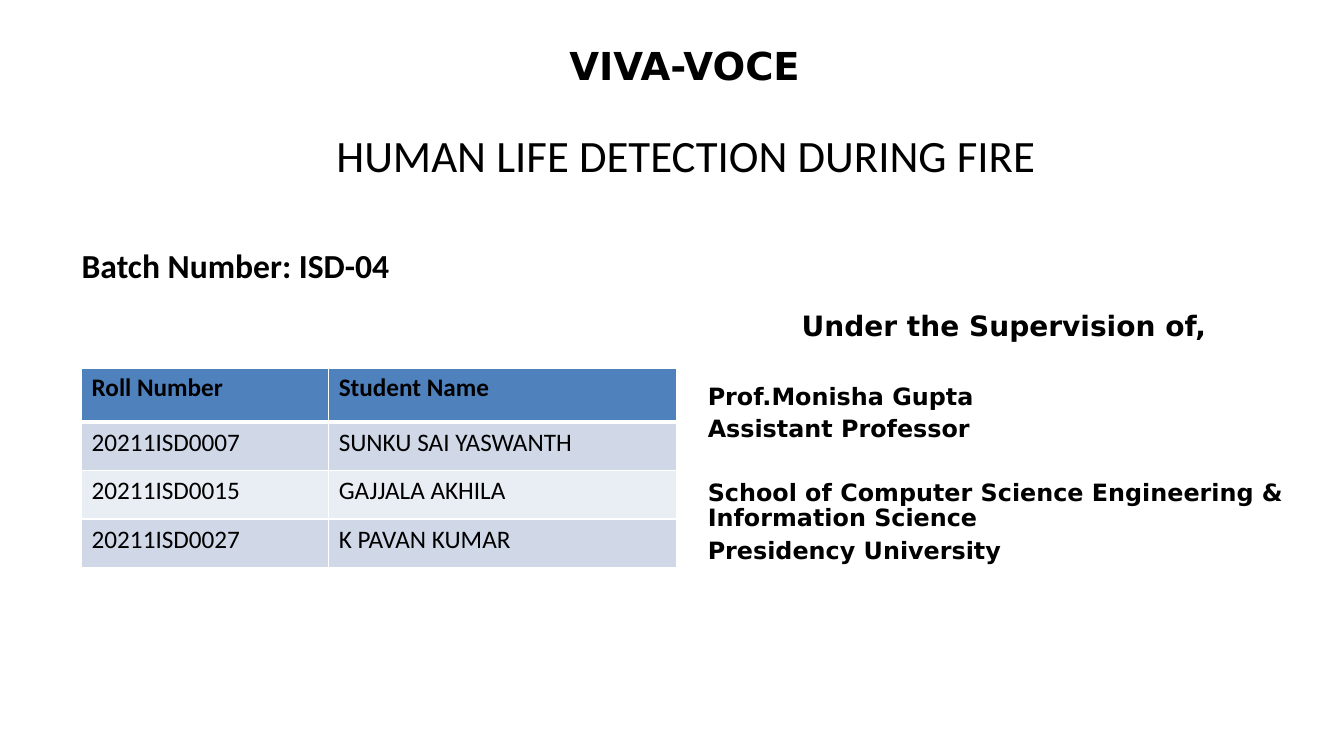
from lxml.etree import SubElement
from pptx import Presentation
from pptx.dml.color import RGBColor
from pptx.enum.text import MSO_ANCHOR as Anchor, MSO_AUTO_SIZE as AutoSize, PP_ALIGN as Align
from pptx.oxml.ns import qn
from pptx.util import Inches, Pt

COLORS = {"text": "000000", "header": "4F81BD", "band": "D0D8E8",
          "light": "E9EDF4", "border": "FFFFFF"}
SANS = "DejaVu Sans"


def write(paragraph, text, size, font="Calibri", bold=False, align=Align.LEFT,
          left=0, before=0, line=None):
    """Fill one paragraph with formatted, unbulleted text."""
    run = paragraph.add_run()
    run.text = text
    run.font.size = Pt(size)
    run.font.name = font
    run.font.bold = bold
    run.font.color.rgb = RGBColor.from_string(COLORS["text"])
    paragraph.alignment = align
    paragraph.space_before = Pt(before)
    if line:
        paragraph.line_spacing = line
    properties = paragraph._p.get_or_add_pPr()
    properties.set("marL", str(Inches(left)))
    properties.set("indent", "0")
    SubElement(properties, qn("a:buNone"))


def place(shape, left, top, width, height, inset_top):
    """Move a placeholder and return its text frame, top aligned."""
    shape.left, shape.top = Inches(left), Inches(top)
    shape.width, shape.height = Inches(width), Inches(height)
    frame = shape.text_frame
    frame.margin_left = frame.margin_right = frame.margin_bottom = 0
    frame.margin_top = Inches(inset_top)
    frame.vertical_anchor = Anchor.TOP
    frame.word_wrap = True
    frame.auto_size = AutoSize.NONE
    return frame


presentation = Presentation()
presentation.slide_width = Inches(13.33)
presentation.slide_height = Inches(7.5)
slide = presentation.slides.add_slide(presentation.slide_layouts[1])

# Title
title = place(slide.shapes.title, 1, 0.3, 9.78, 0.52, 0.01)
write(title.paragraphs[0], "VIVA-VOCE", 27.5, font=SANS, bold=True,
      align=Align.CENTER, left=1.8, before=0.9, line=1.23)

# Topic, batch and supervisor
supervisor = {"size": 17, "font": SANS, "bold": True, "left": 6.21}
body_lines = [
    ("HUMAN LIFE DETECTION DURING FIRE",
     {"size": 32, "align": Align.CENTER, "before": 7.7}),
    ("Batch Number: ISD-04", {"size": 24, "bold": True, "before": 45}),
    ("Under the Supervision of,",
     {"size": 20, "font": SANS, "bold": True, "left": 7.14, "before": 16.5}),
    ("Prof.Monisha Gupta", {**supervisor, "before": 28.6}),
    ("Assistant Professor", {**supervisor, "before": 4.1, "line": Pt(18.8)}),
    ("School of Computer Science Engineering & Information Science",
     {**supervisor, "before": 27.2, "line": Pt(18)}),
    ("Presidency University", {**supervisor, "before": 3}),
]
body = place(slide.placeholders[1], 0.81, 1.25, 11.99, 4.39, 0.02)
for index, (text, style) in enumerate(body_lines):
    paragraph = body.add_paragraph() if index else body.paragraphs[0]
    write(paragraph, text, **style)

# Student table
students = [
    ("Roll Number", "Student Name"),
    ("20211ISD0007", "SUNKU SAI YASWANTH"),
    ("20211ISD0015", "GAJJALA AKHILA"),
    ("20211ISD0027", "K PAVAN KUMAR"),
]
row_fills = ["header", "band", "light", "band"]
table = slide.shapes.add_table(len(students), 2, Inches(0.81), Inches(3.65),
                               Inches(5.9), Inches(1.98)).table
for column, width in zip(table.columns, (2.45, 3.45)):
    column.width = Inches(width)
for row_index, names in enumerate(students):
    table.rows[row_index].height = Inches(0.48 if row_index else 0.54)
    for column_index, text in enumerate(names):
        cell = table.cell(row_index, column_index)
        write(cell.text_frame.paragraphs[0], text, 18, bold=row_index == 0)

        # White borders, thicker between the header and the first student
        cell_properties = cell._tc.get_or_add_tcPr()
        for side in "LRTB":
            thick = (row_index, side) in ((0, "B"), (1, "T"))
            border = SubElement(cell_properties, qn(f"a:ln{side}"),
                                w=str(Pt(3 if thick else 1)))
            fill = SubElement(border, qn("a:solidFill"))
            SubElement(fill, qn("a:srgbClr"), val=COLORS["border"])
        cell.fill.solid()
        cell.fill.fore_color.rgb = RGBColor.from_string(COLORS[row_fills[row_index]])

presentation.save("out.pptx")
